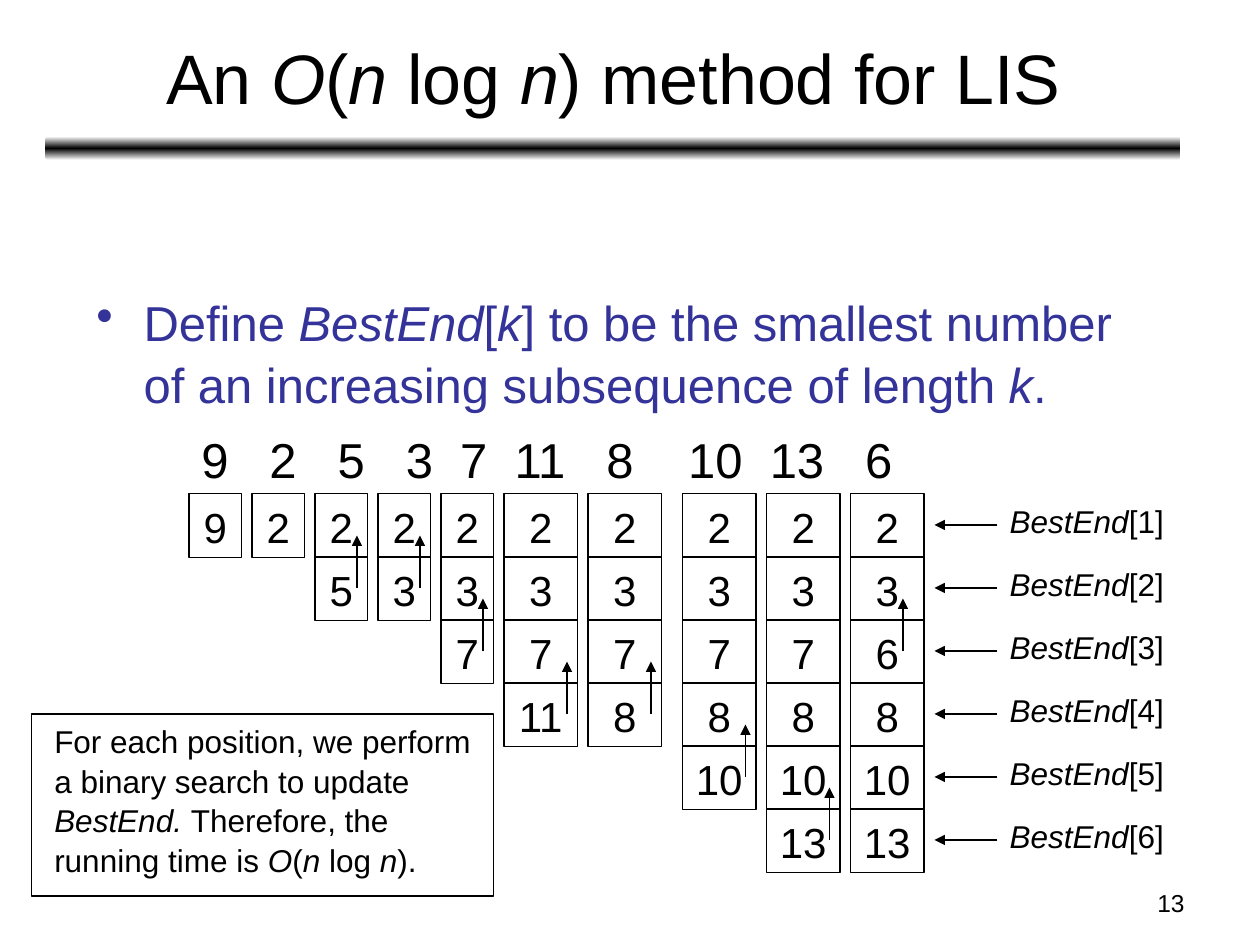
from lxml.etree import SubElement
from pptx import Presentation
from pptx.dml.color import RGBColor
from pptx.enum.shapes import MSO_CONNECTOR as CONN, MSO_SHAPE as SHAPE
from pptx.enum.text import MSO_ANCHOR as ANCHOR, PP_ALIGN as ALIGN
from pptx.oxml import parse_xml
from pptx.oxml.ns import nsdecls, qn
from pptx.util import Pt

COLORS = {"ink": "000000", "body": "333399", "paper": "FFFFFF"}
FONT = "Arial"
SEQUENCE = [9, 2, 5, 3, 7, 11, 8, 10, 13, 6]
SEQUENCE_TABS = [38.9, 77.8, 116.8, 147.8, 179, 231.4, 278.1, 324.8, 379.3]
COLUMN_LEFTS = [108, 144, 180, 216, 252, 288, 336, 390, 438, 486]
GRID_TOP, ROW_STEP, CELL_HEIGHT = 282, 36, 36.5
NARROW, WIDE = 30, 42


def rgb(name):
    return RGBColor.from_string(COLORS[name])


def add_text(s, text, box, size=18, color="ink", align=ALIGN.LEFT,
             anchor=ANCHOR.TOP, left=7.2, right=7.2, spacing=1.05,
             framed=False, bullet=False, tabs=()):
    area = [Pt(v) for v in box]
    if framed:
        sp = s.shapes.add_shape(SHAPE.RECTANGLE, *area)
        sp.shadow.inherit = False
        sp.fill.background()
        sp.line.color.rgb = rgb("ink")
        sp.line.width = Pt(0.75)
    else:
        sp = s.shapes.add_textbox(*area)
    tf = sp.text_frame
    tf.word_wrap = True
    tf.vertical_anchor = anchor
    tf.margin_left, tf.margin_right = Pt(left), Pt(right)
    tf.margin_top = tf.margin_bottom = Pt(3.6)
    p = tf.paragraphs[0]
    p.alignment = align
    p.line_spacing = spacing
    pPr = p._p.get_or_add_pPr()
    if bullet:
        pPr.set("marL", str(Pt(27)))
        pPr.set("indent", str(-Pt(27)))
        SubElement(pPr, qn("a:buChar"), char="•")
    if tabs:
        stops = SubElement(pPr, qn("a:tabLst"))
        for pos in tabs:
            SubElement(stops, qn("a:tab"), pos=str(Pt(pos)), algn="l")
    for i, part in enumerate(text.split("*")):
        if part:
            r = p.add_run()
            r.text = part
            r.font.name, r.font.size = FONT, Pt(size)
            r.font.color.rgb = rgb(color)
            r.font.italic = i % 2 == 1


def add_arrow(s, x1, y1, x2, y2):
    line = s.shapes.add_connector(CONN.STRAIGHT, Pt(x1), Pt(y1), Pt(x2), Pt(y2))
    line.line.color.rgb = rgb("ink")
    line.line.width = Pt(0.75)
    SubElement(line.line._get_or_add_ln(), qn("a:tailEnd"), type="triangle")
    SubElement(line._element.spPr, qn("a:effectLst"))


def add_rule(s):
    sp = s.shapes.add_shape(SHAPE.ROUNDED_RECTANGLE, Pt(26), Pt(78), Pt(648.5), Pt(13.5))
    sp.shadow.inherit = False
    sp.line.fill.background()
    stops = "".join(
        f'<a:gs pos="{pos}"><a:srgbClr val="{COLORS[name]}"/></a:gs>'
        for pos, name in [(0, "paper"), (50000, "ink"), (100000, "paper")])
    sp._element.spPr.find(qn("a:prstGeom")).addnext(parse_xml(
        f'<a:gradFill {nsdecls("a")} rotWithShape="1"><a:gsLst>{stops}</a:gsLst>'
        '<a:lin ang="5400000" scaled="1"/></a:gradFill>'))


def add_columns(s):
    best_end = []
    for i, (value, x) in enumerate(zip(SEQUENCE, COLUMN_LEFTS)):
        row = sum(end < value for end in best_end)
        best_end[row:row + 1] = [value]
        width = NARROW if i < 5 else WIDE
        for k, end in enumerate(best_end):
            add_text(s, str(end), (x, GRID_TOP + k * ROW_STEP, width, CELL_HEIGHT),
                     size=24, align=ALIGN.CENTER, anchor=ANCHOR.MIDDLE,
                     left=0, right=0, framed=True)
        if row:
            y = GRID_TOP + row * ROW_STEP
            arrow_x = x + width - (6 if i < 7 or i in (7, 8) else 12)
            add_arrow(s, arrow_x, y + 18, arrow_x, y - 12)


def add_labels(s):
    for k in range(6):
        y = GRID_TOP + k * ROW_STEP
        add_arrow(s, 570, y + 18, 534, y + 18)
        add_text(s, f"*BestEnd*[{k + 1}]", (564, y, 114, 31), left=13)


def main():
    prs = Presentation()
    prs.slide_width, prs.slide_height = Pt(720), Pt(540)
    s = prs.slides.add_slide(prs.slide_layouts[6])
    add_rule(s)
    add_text(s, "13", (516, 504, 168, 25), size=14, align=ALIGN.RIGHT, spacing=1)
    add_text(s, "An *O*(*n *log *n*) method for LIS", (26.5, 8, 648, 71), size=40,
             align=ALIGN.CENTER, anchor=ANCHOR.MIDDLE, spacing=1)
    add_text(s, "Define *BestEnd*[*k*] to be the smallest number of an increasing "
             "subsequence of length *k*.", (48, 162, 612, 324), size=28,
             color="body", bullet=True)
    add_text(s, "\t".join(map(str, SEQUENCE)), (108, 240, 486, 84), size=28,
             tabs=SEQUENCE_TABS)
    add_columns(s)
    add_labels(s)
    add_text(s, "For each position, we perform a binary search to update *BestEnd. *"
             "Therefore, the running time is *O*(*n *log *n*).",
             (18, 408, 264, 104), left=13, framed=True)
    prs.save("out.pptx")


if __name__ == "__main__":
    main()
